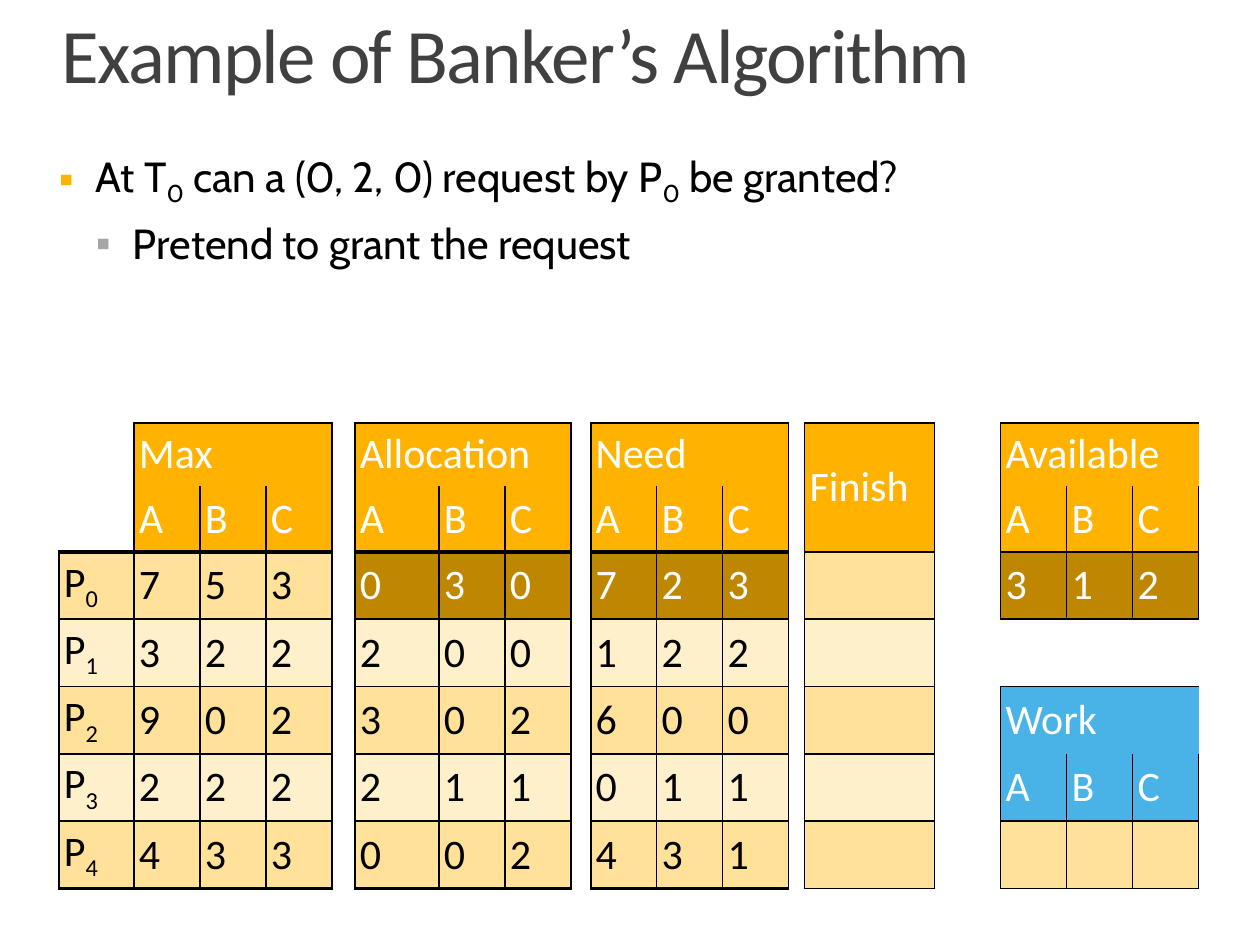
from lxml import etree
from pptx import Presentation
from pptx import util as u
from pptx.dml.color import RGBColor
from pptx.enum import text
from pptx.oxml.ns import qn

PX = 914400 // 126
HUES = {"title": "404040", "ink": "000000", "white": "FFFFFF", "gold": "FFB300",
        "odd": "FFE199", "even": "FFF0CC", "mark": "BF8600", "blue": "49B3E8",
        "grey": "A6A6A6"}
THIN, THICK = 1, 2.25

TITLE = "Example of Banker’s Algorithm"
# Odd pieces of a split on "_" are subscripts.
BULLETS = [
    ("At T_0_ can a (0, 2, 0) request by P_0_ be granted?", "gold", 37, 0),
    ("Pretend to grant the request", "grey", 74, 6),
]
NAMES = [f"P_{i}_" for i in range(5)]
# heading, first column, first row, heading colour, rows, first row marked, outer rule
BLOCKS = [
    ("Max", 1, 0, "gold", ["753", "322", "902", "222", "433"], False, THICK),
    ("Allocation", 5, 0, "gold", ["030", "200", "302", "211", "002"], True, THICK),
    ("Need", 9, 0, "gold", ["723", "122", "600", "011", "431"], True, THICK),
    ("Finish", 13, 0, "gold", [" "] * 5, False, THIN),
    ("Available", 15, 0, "gold", ["312"], True, THIN),
    ("Work", 15, 4, "blue", ["   "], False, THIN),
]
COLS = [75, 66, 66, 66, 23, 84, 66, 66, 20, 66, 66, 66, 16, 130, 66, 66, 66, 66]
ROWS = [63, 66, 67, 67, 67, 67, 66]


def write(para, words, face, size, hue):
    """Add runs, lowering every second piece of the split text."""
    for i, part in enumerate(words.split("_")):
        if not part:
            continue
        run = para.add_run()
        run.text = part
        run.font.name, run.font.size = face, u.Pt(size)
        run.font.color.rgb = RGBColor.from_string(HUES[hue])
        if i % 2:
            run._r.get_or_add_rPr().set("baseline", "-25000")


def add_box(slide, left, top, wide, high):
    frame = slide.shapes.add_textbox(left * PX, top * PX, wide * PX, high * PX).text_frame
    frame.word_wrap = True
    frame.margin_left = frame.margin_right = frame.margin_top = frame.margin_bottom = 0
    return frame


def add_mark(para, hue, left):
    props = para._p.get_or_add_pPr()
    props.set("marL", str(left * PX))
    props.set("indent", str(-37 * PX))
    color = etree.SubElement(props, qn("a:buClr"))
    etree.SubElement(color, qn("a:srgbClr"), val=HUES[hue])
    etree.SubElement(props, qn("a:buFont"), typeface="Arial")
    etree.SubElement(props, qn("a:buChar"), char="▪")


def plan():
    """Return cells {(row, col): (words, fill, ink)}, merges and edge widths."""
    cells, spans, edges = {}, [], {}

    def put(row, col, words, fill, ink, top=THIN, base=THIN):
        cells[row, col] = (words, fill, ink)
        for key, wide in ((("h", row, col), top), (("h", row + 1, col), base),
                          (("v", row, col), THIN), (("v", row, col + 1), THIN)):
            edges[key] = max(wide, edges.get(key, 0))

    def fill_rows(rows, col, row, marked, rule):
        for i, line in enumerate(rows):
            shade, ink = ("mark", "white") if marked and i == 0 else (
                ("odd", "even")[i % 2], "ink")
            for j, words in enumerate(line):
                put(row + i, col + j, words, shade, ink,
                    rule if i == 0 else THIN, rule if i == len(rows) - 1 else THIN)

    fill_rows([[name] for name in NAMES], 0, 2, False, THICK)
    for head, col, row, hue, rows, marked, rule in BLOCKS:
        count = len(rows[0])
        for j in range(count):
            put(row, col + j, "" if j else head, hue, "white")
            put(row + 1, col + j, "ABC"[j] if count > 1 else "", hue, "white")
            del edges["h", row + 1, col + j]
            if j:
                del edges["v", row, col + j]
        spans.append((row, col, row + (count == 1), col + count - 1))
        fill_rows(rows, col, row + 2, marked, rule)
    return cells, spans, edges


def add_line(cell, side, wide):
    line = etree.SubElement(cell._tc.get_or_add_tcPr(), qn("a:ln" + side),
                            w=str(u.Pt(wide or 0)))
    if not wide:
        etree.SubElement(line, qn("a:noFill"))
        return
    solid = etree.SubElement(line, qn("a:solidFill"))
    etree.SubElement(solid, qn("a:srgbClr"), val=HUES["ink"])


def add_grid(slide, left, top):
    frame = slide.shapes.add_table(len(ROWS), len(COLS), left * PX, top * PX,
                                   sum(COLS) * PX, sum(ROWS) * PX)
    table = frame.table
    table.first_row = table.horz_banding = False
    for col, wide in zip(table.columns, COLS):
        col.width = wide * PX
    for row, high in zip(table.rows, ROWS):
        row.height = high * PX
    cells, spans, edges = plan()
    for r in range(len(ROWS)):
        for c in range(len(COLS)):
            cell = table.cell(r, c)
            cell.margin_left = cell.margin_right = 5 * PX
            cell.margin_top = cell.margin_bottom = 5 * PX
            cell.vertical_anchor = text.MSO_ANCHOR.MIDDLE
            for side, key in (("L", ("v", r, c)), ("R", ("v", r, c + 1)),
                              ("T", ("h", r, c)), ("B", ("h", r + 1, c))):
                add_line(cell, side, edges.get(key))
            if (r, c) not in cells:
                cell.fill.background()
                continue
            words, shade, ink = cells[r, c]
            cell.fill.solid()
            cell.fill.fore_color.rgb = RGBColor.from_string(HUES[shade])
            write(cell.text_frame.paragraphs[0], words.strip(), "Calibri", 24, ink)
    for r, c, last, end in spans:
        table.cell(r, c).merge(table.cell(last, end))


def main():
    deck = Presentation()
    deck.slide_width, deck.slide_height = u.Inches(10), u.Inches(7.5)
    slide = deck.slides.add_slide(deck.slide_layouts[6])

    frame = add_box(slide, 0, 0, 1260, 98)
    frame.margin_top = 5 * PX
    frame.vertical_anchor = text.MSO_ANCHOR.BOTTOM
    para = frame.paragraphs[0]
    para._p.get_or_add_pPr().set("marL", str(62 * PX))
    para.line_spacing = 0.8
    write(para, TITLE, "Calibri", 44, "title")
    para.runs[0]._r.get_or_add_rPr().set("spc", "-100")

    add_grid(slide, 59, 423)

    frame = add_box(slide, 59, 150, 1142, 348)
    for i, (words, hue, left, gap) in enumerate(BULLETS):
        para = frame.add_paragraph() if i else frame.paragraphs[0]
        add_mark(para, hue, left)
        if gap:
            para.space_before = u.Pt(gap)
        write(para, words, "Cabin", 24, "ink")

    deck.save("out.pptx")


if __name__ == "__main__":
    main()
